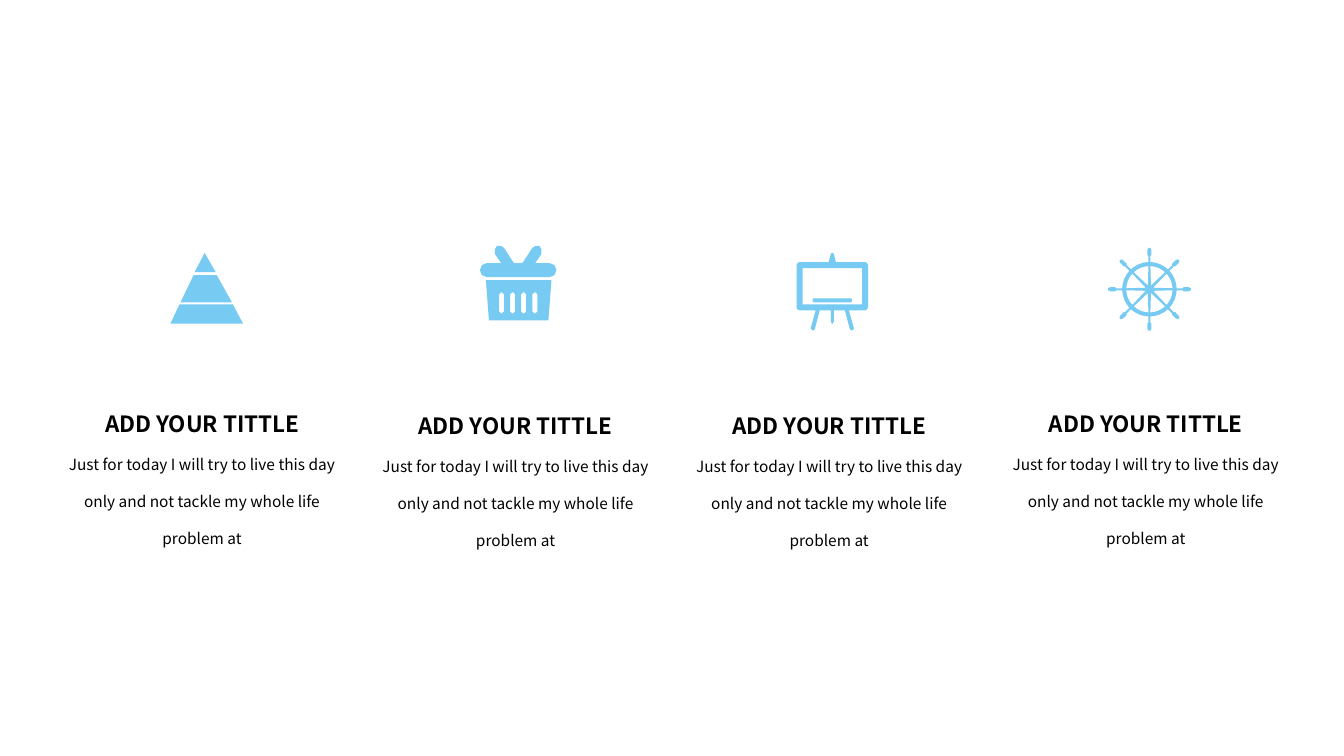
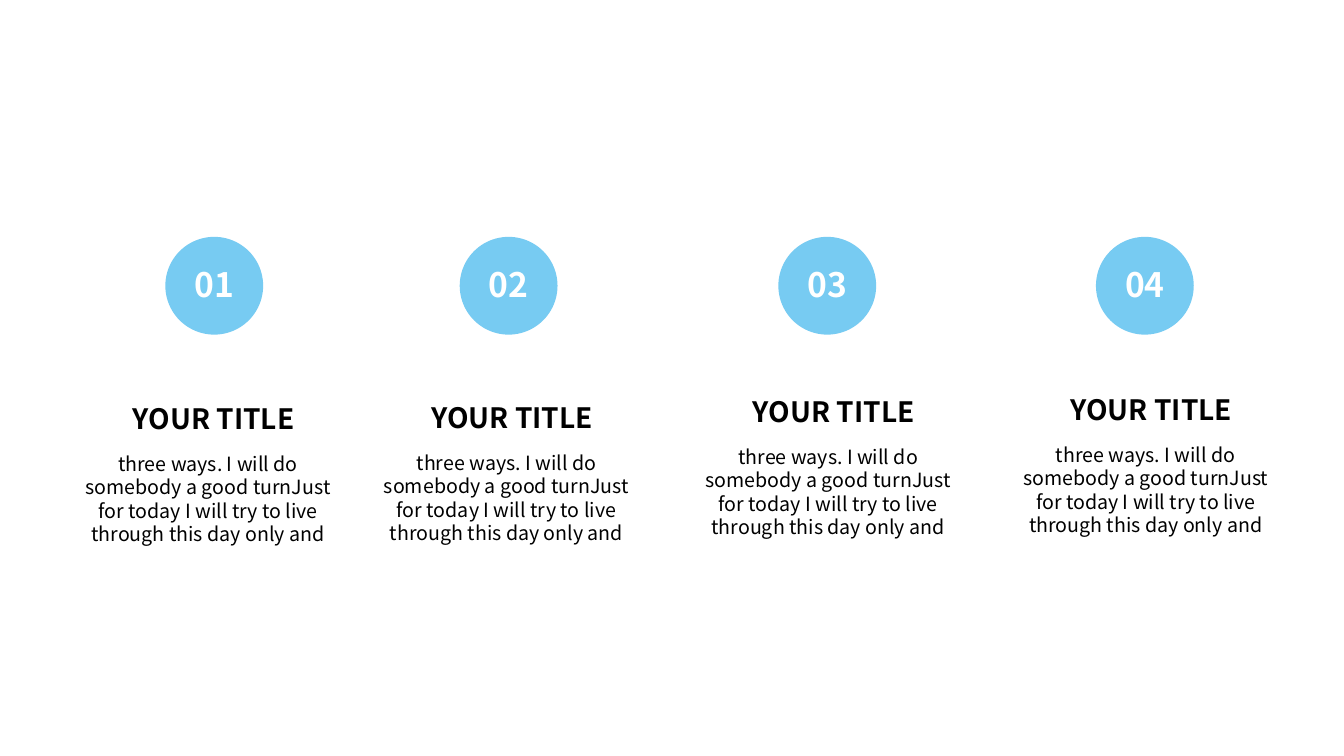
from dataclasses import dataclass
from math import asin, cos, pi, sin
from typing import NamedTuple

from pptx import Presentation
from pptx.dml.color import RGBColor
from pptx.enum.shapes import MSO_SHAPE as Preset
from pptx.enum.text import MSO_AUTO_SIZE as AutoSize, PP_ALIGN as Align
from pptx.util import Inches, Pt

FONT = "Noto Sans CJK SC"
SKY, BLACK, WHITE = "77CBF2", "000000", "FFFFFF"
CARD_TITLE = "ADD YOUR TITTLE"
CARD_BODY = "Just for today I will try to live this day only and not tackle my whole life problem at"
STEP_TITLE = "YOUR TITLE"
STEP_BODY = (
    "three ways. I will do somebody a good turnJust for today "
    "I will try to live through this day only and"
)

Point = tuple[float, float]
Contour = list[Point]


@dataclass(frozen=True)
class TextStyle:
    size: float
    colour: str = BLACK
    bold: bool = False
    line_spacing: float | None = None


class Box(NamedTuple):
    left: float
    top: float
    width: float
    height: float


class Card(NamedTuple):
    left: float
    top: float


class Step(NamedTuple):
    circle_left: float
    title_left: float
    title_top: float


CARD_TITLE_STYLE = TextStyle(16, bold=True, line_spacing=2.0)
CARD_BODY_STYLE = TextStyle(11, line_spacing=2.0)
NUMBER_STYLE = TextStyle(24, WHITE, bold=True)
STEP_TITLE_STYLE = TextStyle(20, bold=True)
STEP_BODY_STYLE = TextStyle(14)

CARDS = [Card(0.57, 3.75), Card(3.68, 3.77), Card(6.79, 3.77), Card(9.93, 3.75)]
STEPS = [
    Step(1.64, 0.81, 3.93),
    Step(4.56, 3.77, 3.92),
    Step(7.72, 6.96, 3.86),
    Step(10.87, 10.11, 3.84),
]

PYRAMID_TIERS: list[Contour] = [
    [(2.03, 2.51), (2.14, 2.7), (1.93, 2.7)],
    [(1.92, 2.73), (2.15, 2.73), (2.3, 3.0), (1.79, 3.0)],
    [(1.78, 3.02), (2.31, 3.02), (2.41, 3.21), (1.69, 3.21)],
]
BASKET_LID_HALF: Contour = [
    (4.83, 2.75), (4.78, 2.73), (4.76, 2.68), (4.78, 2.63), (4.83, 2.61), (4.97, 2.61),
    (4.91, 2.52), (4.91, 2.47), (4.93, 2.44), (4.97, 2.44), (5.0, 2.46), (5.09, 2.6), (5.1, 2.61),
]
EASEL_HALF: Contour = [
    (8.25, 2.51), (8.24, 2.52), (8.22, 2.6), (7.93, 2.6), (7.91, 2.61), (7.9, 2.63),
    (7.9, 3.05), (7.91, 3.07), (7.93, 3.08), (8.09, 3.08), (8.04, 3.26), (8.06, 3.28),
    (8.08, 3.27), (8.13, 3.08), (8.24, 3.08), (8.24, 3.19), (8.25, 3.21),
]
HANDLE_HALF: Contour = [(0.27, 0.01), (0.33, 0.01), (0.34, 0.02), (0.39, 0.02), (0.41, 0.01)]


def rgb(colour: str) -> RGBColor:
    return RGBColor.from_string(colour)


def paint(shape, colour: str) -> None:
    """Give a shape a flat fill with no line or shadow."""
    shape.shadow.inherit = False
    shape.fill.solid()
    shape.fill.fore_color.rgb = rgb(colour)
    shape.line.fill.background()


def add_text(shapes, box: Box, lines: list[tuple[str, TextStyle]]) -> None:
    text_frame = shapes.add_textbox(*map(Inches, box)).text_frame
    text_frame.word_wrap = True
    text_frame.auto_size = AutoSize.SHAPE_TO_FIT_TEXT
    text_frame.text = "\n".join(text for text, _ in lines)
    for paragraph, (_, style) in zip(text_frame.paragraphs, lines):
        paragraph.alignment = Align.CENTER
        paragraph.line_spacing = style.line_spacing
        for run in paragraph.runs:
            run.font.name = FONT
            run.font.size = Pt(style.size)
            run.font.bold = style.bold
            run.font.color.rgb = rgb(style.colour)


def add_outline(shapes, *contours: Contour) -> None:
    """Draw one filled outline; a contour inside another cuts a hole."""
    first, *others = [[(Inches(x), Inches(y)) for x, y in contour] for contour in contours]
    builder = shapes.build_freeform(*first[0])
    builder.add_line_segments(first[1:], close=True)
    for contour in others:
        builder.move_to(*contour[0])
        builder.add_line_segments(contour[1:], close=True)
    paint(builder.convert_to_shape(), SKY)


def mirrored(half: Contour, edge_sum: float) -> Contour:
    """Complete a left half; edge_sum is left plus right of any mirrored pair."""
    return half + [(edge_sum - x, y) for x, y in reversed(half)]


def pill(left: float, top: float, right: float, bottom: float, cut: float) -> Contour:
    return [
        (left + cut, top), (right - cut, top), (right, top + cut), (right, bottom - cut),
        (right - cut, bottom), (left + cut, bottom), (left, bottom - cut), (left, top + cut),
    ]


def add_pyramid(shapes) -> None:
    group = shapes.add_group_shape()
    for tier in PYRAMID_TIERS:
        add_outline(group.shapes, tier)


def add_basket(shapes) -> None:
    body = [(4.82, 2.78), (5.47, 2.78), (5.44, 3.18), (4.85, 3.18)]
    slots = [pill(4.95 + 0.11 * n, 2.9, 5.0 + 0.11 * n, 3.11, 0.02) for n in range(4)]
    add_outline(shapes, body, *slots, mirrored(BASKET_LID_HALF, 10.28))


def add_easel(shapes) -> None:
    window = [(7.96, 2.66), (8.55, 2.66), (8.55, 3.02), (7.96, 3.02)]
    ledge = pill(8.06, 2.96, 8.45, 3.0, 0.01)
    add_outline(shapes, mirrored(EASEL_HALF, 16.51), window, ledge)


def add_ship_wheel(shapes) -> None:
    def polar(radius: float, angle: float, offset: float = 0) -> Point:
        """Go out along the angle, then sideways by the offset."""
        x = 11.4 + radius * cos(angle) - offset * sin(angle)
        y = 2.87 + radius * sin(angle) + offset * cos(angle)
        return x, y

    eighth = pi / 4
    handle = [(r, -offset) for r, offset in HANDLE_HALF] + HANDLE_HALF[::-1]
    margin = asin(0.01 / 0.23)
    rim: Contour = []
    gaps: list[Contour] = []
    for angle in (n * eighth for n in range(8)):
        rim += [polar(r, angle, offset) for r, offset in handle]
        rim += [polar(0.27, angle + eighth * part / 4) for part in (1, 2, 3)]
        sweep = eighth - 2 * margin
        inner_arc = [polar(0.23, angle + margin + sweep * part / 4) for part in range(5)]
        gaps.append([polar(0.04, angle + eighth / 2), *inner_arc])
    add_outline(shapes, rim, *gaps)


def add_cards_slide(presentation) -> None:
    shapes = presentation.slides.add_slide(presentation.slide_layouts[6]).shapes
    for add_icon in (add_basket, add_pyramid, add_easel, add_ship_wheel):
        add_icon(shapes)
    for card in CARDS:
        add_text(
            shapes,
            Box(card.left, card.top, 2.87, 1.7),
            [(CARD_TITLE, CARD_TITLE_STYLE), (CARD_BODY, CARD_BODY_STYLE)],
        )


def add_steps_slide(presentation) -> None:
    slide = presentation.slides.add_slide(presentation.slide_layouts[6])
    for number, step in enumerate(STEPS, start=1):
        shapes = slide.shapes.add_group_shape().shapes
        circle = Box(step.circle_left, 2.35, 0.97, 0.97)
        left, top = step.title_left, step.title_top
        paint(shapes.add_shape(Preset.OVAL, *map(Inches, circle)), SKY)
        add_text(shapes, circle._replace(top=2.57, height=0.5), [(f"{number:02d}", NUMBER_STYLE)])
        add_text(shapes, Box(left, top, 2.62, 0.44), [(STEP_TITLE, STEP_TITLE_STYLE)])
        add_text(shapes, Box(left - 0.11, top + 0.5, 2.73, 1.28), [(STEP_BODY, STEP_BODY_STYLE)])


def main() -> None:
    presentation = Presentation()
    presentation.slide_width = Inches(13.33)
    presentation.slide_height = Inches(7.5)
    add_cards_slide(presentation)
    add_steps_slide(presentation)
    presentation.save("out.pptx")


if __name__ == "__main__":
    main()
